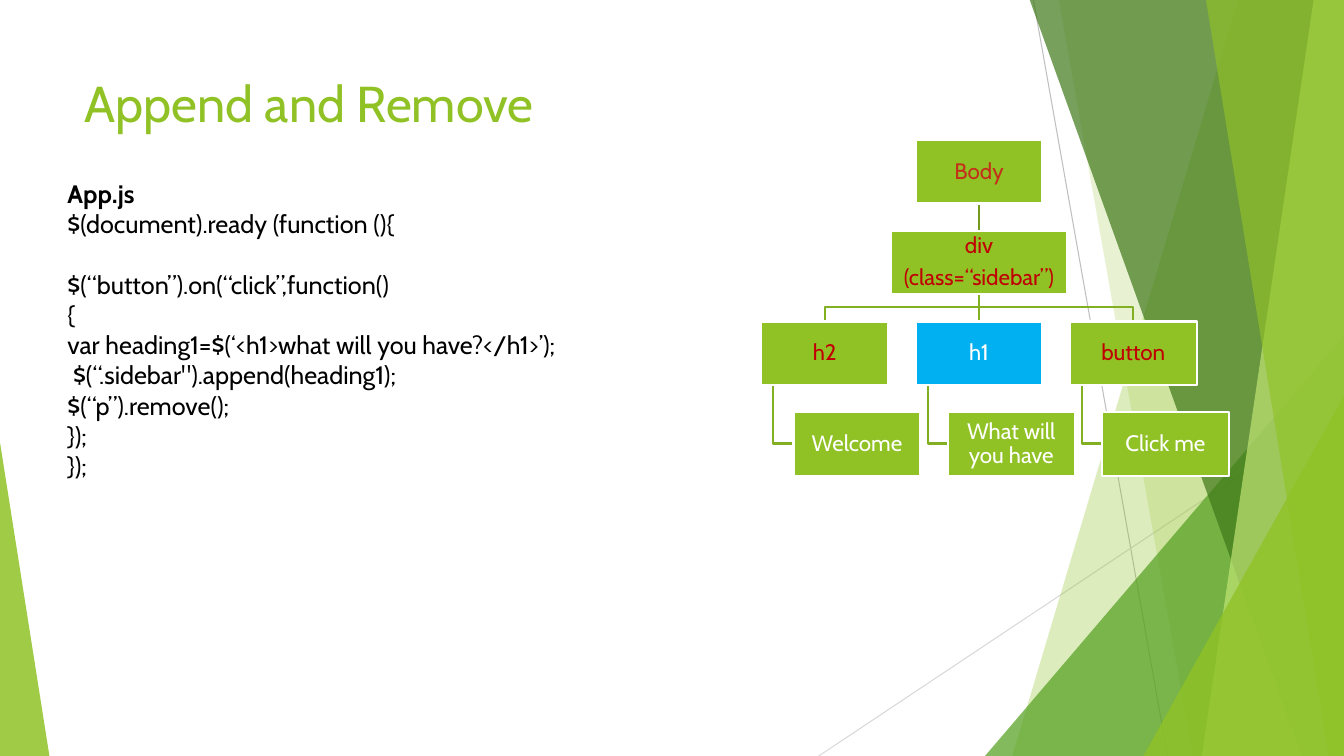
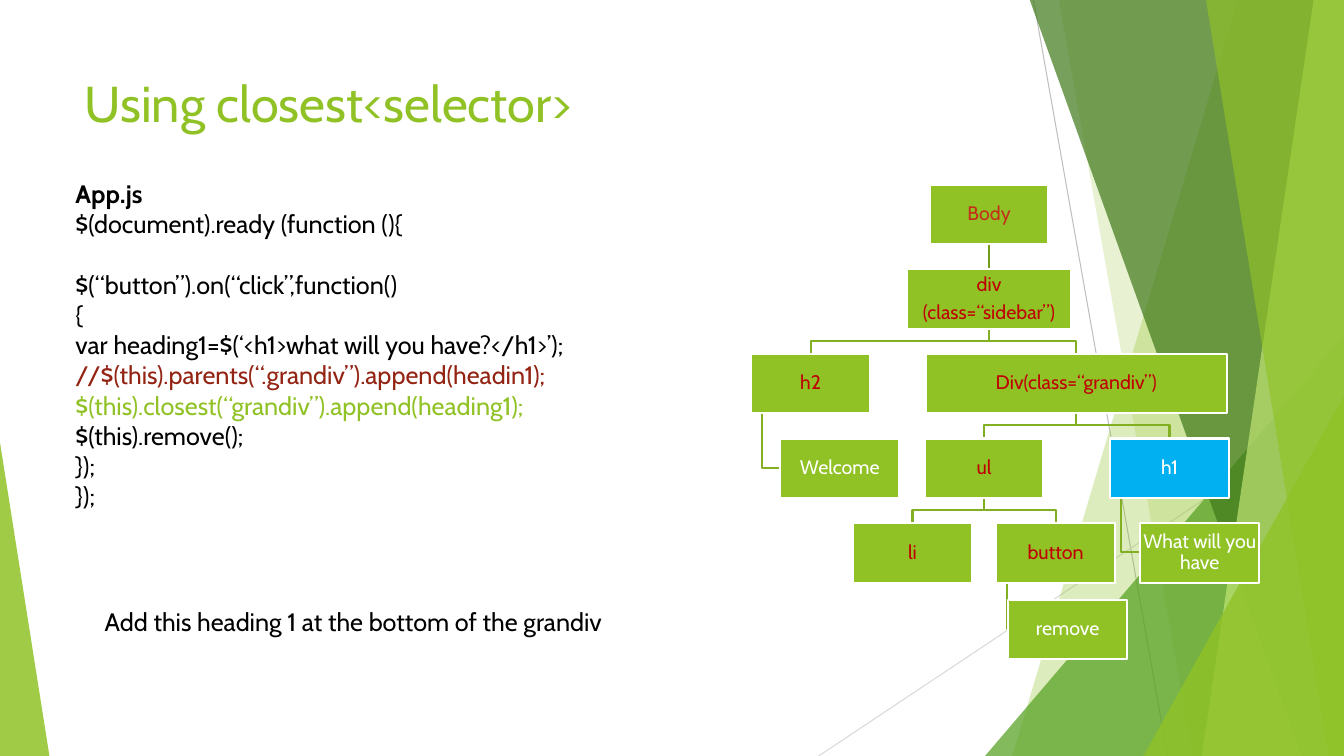
from dataclasses import dataclass

import pptx
import pptx.dml.color
import pptx.enum.shapes
import pptx.enum.text
import pptx.oxml
import pptx.oxml.ns
import pptx.util

PX = 9144  # EMU per px, 100 px to the inch
WIDTH, HEIGHT = 1333, 750
FONT = "Cabin"
GREEN, BLUE, WHITE, BLACK = "90C226", "00B0F0", "FFFFFF", "000000"
ROOT_RED, TAG_RED, COMMENT_RED = "C42F1A", "C00000", "932313"
ROOT_LINK, LINK = "739B1E", "83B022"
LINE_PT = 21.6  # height of one line of code

# Fill and text colour for each kind of tree node
NODE_STYLES = {
    "root": (GREEN, ROOT_RED),
    "tag": (GREEN, TAG_RED),
    "new": (BLUE, WHITE),
    "words": (GREEN, WHITE),
}


@dataclass
class Node:
    text: str
    kind: str
    left: int
    row: int
    parent: str = ""
    width: int = 0
    nudge: int = 0


@dataclass
class Tree:
    top: int
    pitch: int
    width: int
    height: int
    size: int
    nodes: dict

    def frame(self, name):
        node = self.nodes[name]
        top = self.top + node.row * self.pitch + node.nudge
        return node.left, top, node.width or self.width, self.height


def px(*lengths):
    return [length * PX for length in lengths]


def rgb(colour):
    return pptx.dml.color.RGBColor.from_string(colour)


def paint(shape, fill=None, alpha=100, line=None, weight=1.5):
    shape.shadow.inherit = False
    if fill:
        shape.fill.solid()
        shape.fill.fore_color.rgb = rgb(fill)
        if alpha < 100:
            colour = shape.element.spPr.find(".//" + pptx.oxml.ns.qn("a:srgbClr"))
            opacity = pptx.oxml.parse_xml(
                f'<a:alpha {pptx.oxml.ns.nsdecls("a")} val="{alpha * 1000}"/>')
            colour.append(opacity)
    else:
        shape.fill.background()
    if line:
        shape.line.color.rgb = rgb(line)
        shape.line.width = pptx.util.Pt(weight)
    else:
        shape.line.fill.background()


def add_line(slide, start, end, colour, weight):
    line = slide.shapes.add_connector(
        pptx.enum.shapes.MSO_CONNECTOR.STRAIGHT, *px(*start, *end))
    line.line.color.rgb = rgb(colour)
    line.line.width = pptx.util.Pt(weight)
    line.element.spPr.append(
        pptx.oxml.parse_xml(f'<a:effectLst {pptx.oxml.ns.nsdecls("a")}/>'))


def add_outline(slide, points, close):
    builder = slide.shapes.build_freeform(*points[0], scale=float(PX))
    builder.add_line_segments(points[1:], close=close)
    return builder.convert_to_shape()


def add_corner(slide, frame, apex, fill, alpha):
    corner = slide.shapes.add_shape(
        pptx.enum.shapes.MSO_SHAPE.ISOSCELES_TRIANGLE, *px(*frame))
    corner.adjustments[0] = apex
    paint(corner, fill, alpha)


def add_band(slide, top_left, bottom_left, fill, alpha):
    points = [(top_left, -1), (WIDTH, -1), (WIDTH, HEIGHT), (bottom_left, HEIGHT)]
    paint(add_outline(slide, points, True), fill, alpha)


def style(paragraph, size, colour, bold=False):
    for run in paragraph.runs:
        run.font.name = FONT
        run.font.size = pptx.util.Pt(size)
        run.font.color.rgb = rgb(colour)
        run.font.bold = bold


def add_text(slide, frame, lines, size):
    """Each line is text, colour, bold and the number of empty lines below."""
    text_frame = slide.shapes.add_textbox(*px(*frame)).text_frame
    text_frame.word_wrap = True
    text_frame.text = "\n".join(line[0] for line in lines)
    for paragraph, (_, colour, bold, gap) in zip(text_frame.paragraphs, lines):
        style(paragraph, size, colour, bold)
        if gap:
            paragraph.space_after = pptx.util.Pt(gap * LINE_PT)


def add_backdrop(slide):
    # Thin lines
    add_line(slide, (1025, 0), (1158, HEIGHT), "BFBFBF", 0.75)
    add_line(slide, (WIDTH, 403), (812, HEIGHT), "D9D9D9", 0.75)
    # Overlapping bands on the right
    add_band(slide, 1228, 1004, GREEN, 30)
    add_band(slide, 1050, 1183, GREEN, 20)
    add_corner(slide, (977, 333, 356, 417), 1, "54A021", 72)
    add_band(slide, 1021, 1291, "3F7819", 70)
    add_band(slide, 1303, 1192, "C0E474", 70)
    add_band(slide, 1196, 1318, GREEN, 65)
    add_corner(slide, (1134, 393, 199, 357), 1, GREEN, 80)
    # Wedge at the lower left
    add_corner(slide, (0, 439, 49, 311), 0, GREEN, 85)


def add_link(slide, tree, node, name):
    left, top, width, height = tree.frame(name)
    above_left, above_top, above_width, above_height = tree.frame(node.parent)
    start_y = above_top + above_height
    colour = ROOT_LINK if tree.nodes[node.parent].kind == "root" else LINK
    centre, above_centre = left + width // 2, above_left + above_width // 2
    if node.kind == "words":  # hangs from the lower left of its parent
        stem, middle = above_left + above_width // 10, top + height // 2
        points = [(stem, start_y), (stem, middle), (left, middle)]
    elif centre == above_centre:
        add_line(slide, (centre, start_y), (centre, top), colour, 1.5)
        return
    else:
        fork = (start_y + top) // 2
        points = [(above_centre, start_y), (above_centre, fork),
                  (centre, fork), (centre, top)]
    paint(add_outline(slide, points, False), line=colour)


def add_node(slide, tree, node, name):
    box = slide.shapes.add_shape(
        pptx.enum.shapes.MSO_SHAPE.RECTANGLE, *px(*tree.frame(name)))
    fill, ink = NODE_STYLES[node.kind]
    paint(box, fill, line=WHITE)
    label = box.text_frame
    label.word_wrap = True
    label.vertical_anchor = pptx.enum.text.MSO_ANCHOR.MIDDLE
    label.margin_left = label.margin_right = PX
    label.margin_top = label.margin_bottom = PX
    label.text = node.text
    for paragraph in label.paragraphs:
        paragraph.alignment = pptx.enum.text.PP_ALIGN.CENTER
        paragraph.line_spacing = 0.9
        style(paragraph, tree.size, ink)
    for paragraph in label.paragraphs[:-1]:
        paragraph.space_after = pptx.util.Pt(0.35 * tree.size)


def add_tree(slide, tree):
    for name, node in tree.nodes.items():
        if node.parent:
            add_link(slide, tree, node, name)
    for name, node in tree.nodes.items():
        add_node(slide, tree, node, name)


def add_code(slide, frame, body):
    opening = [
        ("App.js", BLACK, True, 0),
        ("$(document).ready (function (){", BLACK, False, 1),
        ("$(“button”).on(“click”,function()", BLACK, False, 0),
        ("{", BLACK, False, 0),
        ("var heading1=$(‘<h1>what will you have?</h1>’);", BLACK, False, 0),
    ]
    middle = [(text, colour, False, 0) for text, colour in body]
    closing = [("});", BLACK, False, 0)] * 2
    add_text(slide, frame, opening + middle + closing, 18)


def add_slide(deck, title):
    slide = deck.slides.add_slide(deck.slide_layouts[6])
    add_backdrop(slide)
    add_text(slide, (74, 67, 940, 144), [(title, GREEN, False, 0)], 36)
    return slide


def append_tree():
    first, second, third = (755 + 153 * column for column in range(3))
    indent = 32
    return Tree(139, 90, 126, 63, 16, {
        "body": Node("Body", "root", second, 0),
        "sidebar": Node("div\n(class=“sidebar”)", "tag", 884, 1, "body", 174),
        "h2": Node("h2", "tag", first, 2, "sidebar"),
        "welcome": Node("Welcome", "words", first + indent, 3, "h2"),
        "h1": Node("h1", "new", second, 2, "sidebar"),
        "question": Node("What will you have", "words", second + indent, 3, "h1"),
        "button": Node("button", "tag", third, 2, "sidebar"),
        "click": Node("Click me", "words", third + indent, 3, "button"),
    })


def closest_tree():
    return Tree(183, 84, 118, 59, 14, {
        "body": Node("Body", "root", 922, 0),
        "sidebar": Node("div\n(class=“sidebar”)", "tag", 900, 1, "body", 162),
        "h2": Node("h2", "tag", 745, 2, "sidebar"),
        "welcome": Node("Welcome", "words", 774, 3, "h2"),
        "grandiv": Node("Div(class=“grandiv”)", "tag", 918, 2, "sidebar", 299),
        "ul": Node("ul", "tag", 917, 3, "grandiv"),
        "li": Node("li", "tag", 846, 4, "ul"),
        "button": Node("button", "tag", 988, 4, "ul"),
        "remove": Node("remove", "words", 1000, 5, "button", nudge=-8),
        "h1": Node("h1", "new", 1101, 3, "grandiv"),
        "question": Node("What will you have", "words", 1131, 4, "h1"),
    })


def main():
    deck = pptx.Presentation()
    deck.slide_width, deck.slide_height = px(WIDTH, HEIGHT)

    # Append and remove
    slide = add_slide(deck, "Append and Remove")
    add_code(slide, (57, 172, 667, 313), [
        (" $(“.sidebar\").append(heading1);", BLACK),
        ("$(“p”).remove();", BLACK),
    ])
    add_tree(slide, append_tree())

    # Closest selector
    slide = add_slide(deck, "Using closest<selector>")
    add_tree(slide, closest_tree())
    add_code(slide, (65, 172, 667, 343), [
        ("//$(this).parents(“.grandiv”).append(headin1);", COMMENT_RED),
        ("$(this).closest(“grandiv”).append(heading1);", GREEN),
        ("$(this).remove();", BLACK),
    ])
    add_text(slide, (94, 597, 574, 40), [
        ("Add this heading 1 at the bottom of the grandiv", BLACK, False, 0)], 18)

    deck.save("out.pptx")


if __name__ == "__main__":
    main()
